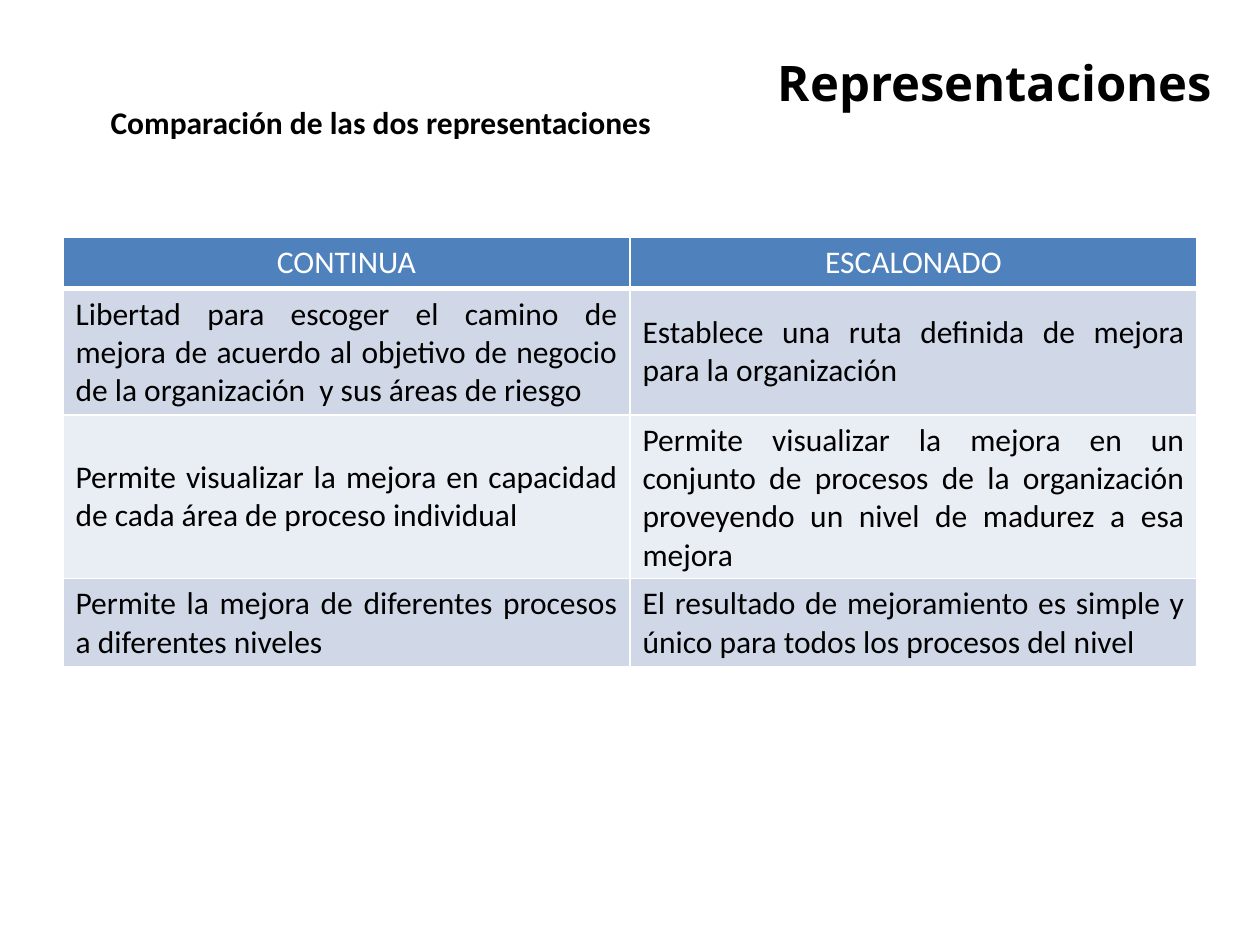
from lxml.etree import SubElement
from pptx import Presentation
from pptx.dml.color import RGBColor
from pptx.enum.text import MSO_ANCHOR as Anchor, MSO_AUTO_SIZE as AutoSize, PP_ALIGN as Align
from pptx.oxml.ns import qn
from pptx.util import Cm, Pt

COLORS = {
    "text": "000000",
    "white": "FFFFFF",
    "header": "4F81BD",
    "band_dark": "D0D8E8",
    "band_light": "E9EDF4",
}
HEADINGS = ("CONTINUA", "ESCALONADO")
COMPARISON = (
    ("Libertad para escoger el camino de mejora de acuerdo al objetivo de negocio "
     "de la organización  y sus áreas de riesgo",
     "Establece una ruta definida de mejora para la organización"),
    ("Permite visualizar la mejora en capacidad de cada área de proceso individual",
     "Permite visualizar la mejora en un conjunto de procesos de la organización "
     "proveyendo un nivel de madurez a esa mejora"),
    ("Permite la mejora de diferentes procesos a diferentes niveles",
     "El resultado de mejoramiento es simple y único para todos los procesos del nivel"),
)
ROW_HEIGHTS = (1.04, 2.54, 3.3, 1.78)


def write(frame, text, size, align, font="Calibri", color="text", bold=False):
    para = frame.paragraphs[0]
    para.alignment = align
    span = para.add_run()
    span.text = text
    span.font.name = font
    span.font.size = Pt(size)
    span.font.bold = bold
    span.font.color.rgb = RGBColor.from_string(COLORS[color])


def set_borders(cell, widths):
    """Draw white lines; widths are points for left, right, top and bottom."""
    properties = cell._tc.get_or_add_tcPr()
    for side, width in zip("LRTB", widths):
        line = SubElement(properties, qn(f"a:ln{side}"), w=str(Pt(width)))
        fill = SubElement(line, qn("a:solidFill"))
        SubElement(fill, qn("a:srgbClr"), val=COLORS["white"])


def add_title(page, left, top, width, height):
    title = page.shapes.title
    title.left, title.top, title.width, title.height = left, top, width, height
    title.text_frame.vertical_anchor = Anchor.MIDDLE
    write(title.text_frame, "Representaciones", 28, Align.RIGHT, "Open Sans", bold=True)


def add_subtitle(page, left, top, width, height):
    box = page.shapes.add_textbox(left, top, width, height)
    box.text_frame.word_wrap = False
    box.text_frame.auto_size = AutoSize.SHAPE_TO_FIT_TEXT
    write(box.text_frame, "Comparación de las dos representaciones", 18, Align.LEFT, bold=True)


def add_comparison(page, left, top, width, height):
    rows = (HEADINGS, *COMPARISON)
    table = page.shapes.add_table(len(rows), len(HEADINGS), left, top, width, height).table
    for row, row_height in zip(table.rows, ROW_HEIGHTS):
        row.height = Cm(row_height)
    for row_index, texts in enumerate(rows):
        is_header = row_index == 0
        band = "band_dark" if row_index % 2 else "band_light"
        for column_index, text in enumerate(texts):
            cell = table.cell(row_index, column_index)
            cell.vertical_anchor = Anchor.MIDDLE
            set_borders(cell, (1, 1, 1, 3 if is_header else 1))
            cell.fill.solid()
            cell.fill.fore_color.rgb = RGBColor.from_string(
                COLORS["header" if is_header else band])
            write(cell.text_frame, text, 18,
                  Align.CENTER if is_header else Align.JUSTIFY,
                  color="white" if is_header else "text")


deck = Presentation()
deck.slide_width, deck.slide_height = Cm(25.4), Cm(19.05)
page = deck.slides.add_slide(deck.slide_layouts[5])  # title only

add_title(page, Cm(1.83), Cm(0.84), Cm(22.86), Cm(1.63))
add_subtitle(page, Cm(1.98), Cm(1.96), Cm(11.48), Cm(1.02))
add_comparison(page, Cm(1.27), Cm(4.78), Cm(22.86), Cm(sum(ROW_HEIGHTS)))

deck.save("out.pptx")
